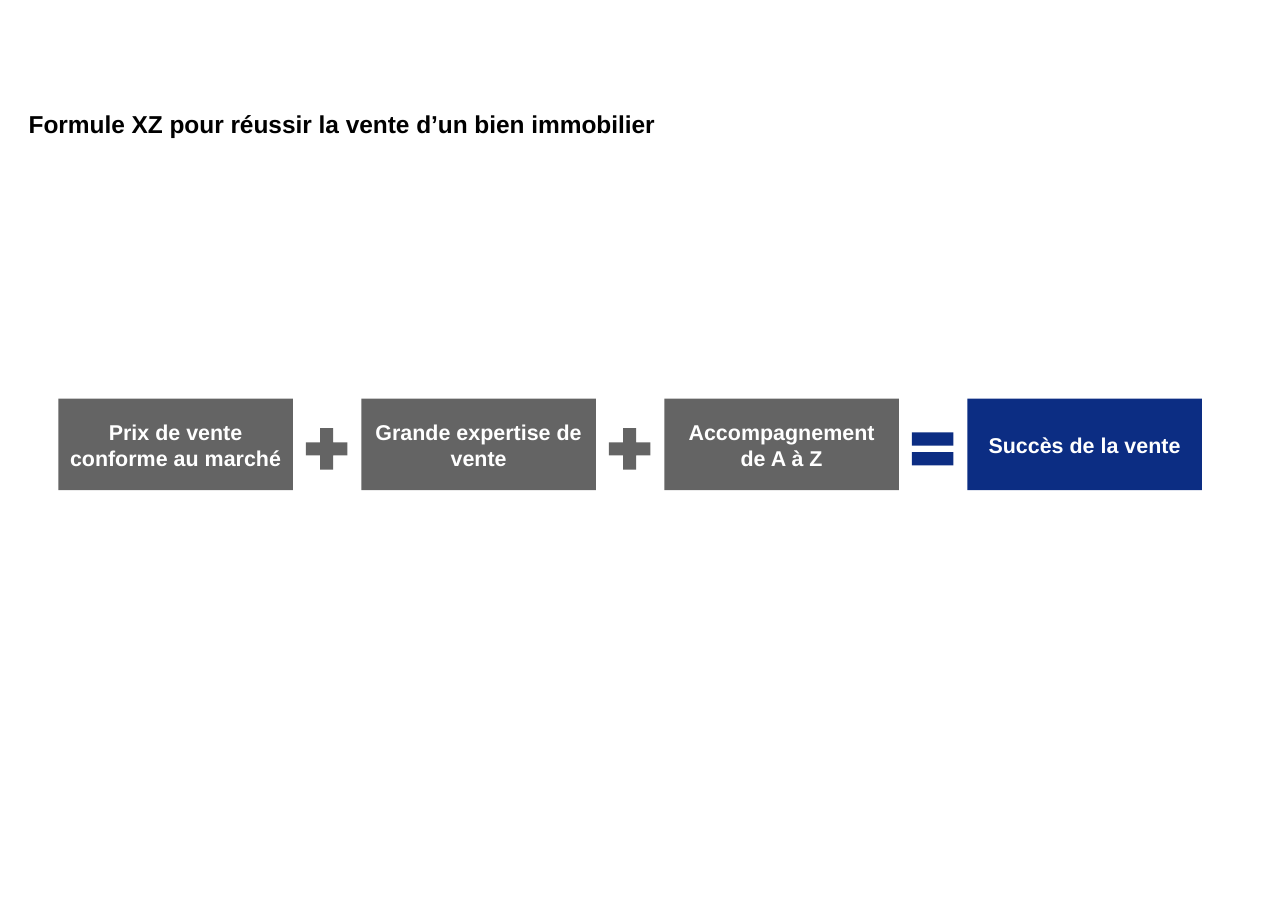
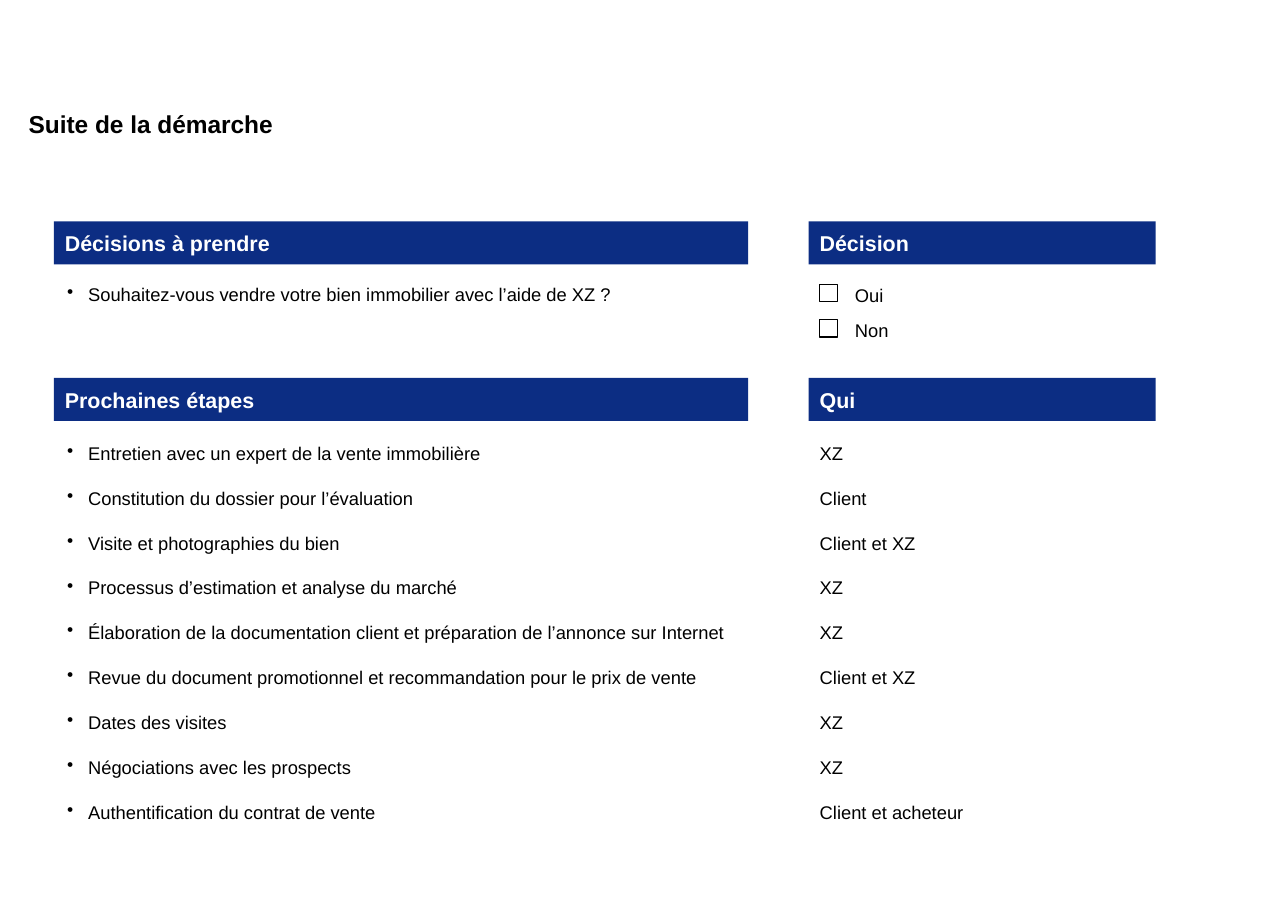
from lxml.etree import SubElement
from pptx import Presentation
from pptx.dml.color import RGBColor
from pptx.enum.shapes import MSO_SHAPE as SHAPE
from pptx.enum.text import MSO_ANCHOR as ANCHOR, MSO_AUTO_SIZE as AUTO_SIZE, PP_ALIGN as ALIGN
from pptx.oxml.ns import qn
from pptx.util import Inches, Pt

FONT = "Arial"
BLACK = RGBColor(0x00, 0x00, 0x00)
WHITE = RGBColor(0xFF, 0xFF, 0xFF)
GREY = RGBColor(0x64, 0x64, 0x64)
BLUE = RGBColor(0x0C, 0x2D, 0x83)

TITLE_SIZE, HEADING_SIZE, BODY_SIZE = 16, 14, 12

# Formula row: equal boxes with a sign in each gap
BOX_LEFT, BOX_TOP, BOX_W, BOX_H, BOX_STEP = 0.53, 3.62, 2.13, 0.83, 2.75
SIGN_SIZE, SIGN_GAP, SIGN_DROP = 0.51, 0.05, 0.2
FORMULA = [
    ("Prix de vente conforme au marché", GREY, SHAPE.MATH_PLUS),
    ("Grande expertise de vente", GREY, SHAPE.MATH_PLUS),
    ("Accompagnement de A à Z", GREY, SHAPE.MATH_EQUAL),
    ("Succès de la vente", BLUE, None),
]

# Two columns, (left, width), and two bands
COLUMNS = [(0.49, 6.3), (7.34, 3.15)]
BAND_H = 0.39
BANDS = [
    (2.01, ("Décisions à prendre", "Décision")),
    (3.43, ("Prochaines étapes", "Qui")),
]
TEXT_INSET, BULLET_INSET, BULLET_INDENT = 0.1, 0.12, 0.19
QUESTION_TOP, STEPS_TOP, STEPS_H = 2.45, 3.89, 3.67
ANSWER_TOP, ANSWER_STEP, CHECK_SIZE = 2.58, 0.32, 0.16
QUESTION = "Souhaitez-vous vendre votre bien immobilier avec l’aide de XZ ?"
STEPS = [
    ("Entretien avec un expert de la vente immobilière", "XZ"),
    ("Constitution du dossier pour l’évaluation", "Client"),
    ("Visite et photographies du bien", "Client et XZ"),
    ("Processus d’estimation et analyse du marché", "XZ"),
    ("Élaboration de la documentation client et préparation de l’annonce sur Internet", "XZ"),
    ("Revue du document promotionnel et recommandation pour le prix de vente", "Client et XZ"),
    ("Dates des visites", "XZ"),
    ("Négociations avec les prospects", "XZ"),
    ("Authentification du contrat de vente", "Client et acheteur"),
]


def format_paragraph(p, size, color, bold=False, align=ALIGN.LEFT):
    p.alignment = align
    for r in p.runs:
        r.font.name = FONT
        r.font.size = Pt(size)
        r.font.bold = bold
        r.font.color.rgb = color


def set_insets(tf, left=0, top=0, right=0, bottom=0):
    tf.margin_left, tf.margin_top = Inches(left), Inches(top)
    tf.margin_right, tf.margin_bottom = Inches(right), Inches(bottom)


def add_titled_slide(prs, title):
    s = prs.slides.add_slide(prs.slide_layouts[5])
    sp = s.shapes.title
    sp.left, sp.top = Inches(0.26), Inches(0.59)
    sp.width, sp.height = Inches(10.67), Inches(0.67)
    tf = sp.text_frame
    tf.text = title
    tf.auto_size = AUTO_SIZE.NONE
    tf.vertical_anchor = ANCHOR.BOTTOM
    set_insets(tf)
    format_paragraph(tf.paragraphs[0], TITLE_SIZE, BLACK, bold=True)
    return s


def add_block(s, kind, x, y, w, h, fill=None, line=None):
    sp = s.shapes.add_shape(kind, Inches(x), Inches(y), Inches(w), Inches(h))
    sp.shadow.inherit = False
    if fill is None:
        sp.fill.background()
    else:
        sp.fill.solid()
        sp.fill.fore_color.rgb = fill
    if line is None:
        sp.line.fill.background()
    else:
        sp.line.color.rgb = line
        sp.line.width = Pt(0.85)
    return sp


def add_label_box(s, text, x, y, w, h, fill, align):
    tf = add_block(s, SHAPE.RECTANGLE, x, y, w, h, fill).text_frame
    tf.text = text
    tf.word_wrap = True
    tf.vertical_anchor = ANCHOR.MIDDLE
    p = tf.paragraphs[0]
    p.line_spacing = 1.04
    format_paragraph(p, HEADING_SIZE, WHITE, bold=True, align=align)


def add_bullet(p):
    pPr = p._p.get_or_add_pPr()
    pPr.set("marL", str(Inches(BULLET_INDENT)))
    pPr.set("indent", str(-Inches(BULLET_INDENT)))
    SubElement(pPr, qn("a:buChar"), char="•")


def add_lines(s, lines, x, y, w, h, inset_top=0, bullets=False):
    """Add body text, one paragraph a line, at an even pitch."""
    tf = s.shapes.add_textbox(Inches(x), Inches(y), Inches(w), Inches(h)).text_frame
    tf.word_wrap = True
    set_insets(tf, top=inset_top)
    tf.text = "\n".join(lines)
    for p in tf.paragraphs:
        p.space_after = Pt(15)
        format_paragraph(p, BODY_SIZE, BLACK)
        if bullets:
            add_bullet(p)


def build_formula(prs):
    s = add_titled_slide(prs, "Formule XZ pour réussir la vente d’un bien immobilier")
    for i, (text, color, sign) in enumerate(FORMULA):
        x = BOX_LEFT + i * BOX_STEP
        add_label_box(s, text, x, BOX_TOP, BOX_W, BOX_H, color, ALIGN.CENTER)
        if sign is not None:
            sign_color = BLUE if sign == SHAPE.MATH_EQUAL else GREY
            add_block(s, sign, x + BOX_W + SIGN_GAP, BOX_TOP + SIGN_DROP,
                      SIGN_SIZE, SIGN_SIZE, sign_color)


def build_next_steps(prs):
    s = add_titled_slide(prs, "Suite de la démarche")
    for y, headings in BANDS:
        for (x, w), heading in zip(COLUMNS, headings):
            add_label_box(s, heading, x, y, w, BAND_H, BLUE, ALIGN.LEFT)

    (left, left_w), (right, right_w) = COLUMNS
    left += BULLET_INSET
    right += TEXT_INSET
    add_lines(s, [QUESTION], left, QUESTION_TOP, left_w - BULLET_INSET, 0.44, 0.12, bullets=True)
    for i, answer in enumerate(("Oui", "Non")):
        y = ANSWER_TOP + i * ANSWER_STEP
        add_block(s, SHAPE.FLOWCHART_PROCESS, right, y, CHECK_SIZE, CHECK_SIZE, line=BLACK)
        add_lines(s, [answer], right + 2 * CHECK_SIZE, y, 0.43, 0.2)

    steps, owners = zip(*STEPS)
    add_lines(s, steps, left, STEPS_TOP, left_w - BULLET_INSET, STEPS_H, 0.12, bullets=True)
    add_lines(s, owners, right, STEPS_TOP, right_w - TEXT_INSET, STEPS_H, 0.12)


def main():
    prs = Presentation()
    prs.slide_width, prs.slide_height = Inches(11.69), Inches(8.27)
    build_formula(prs)
    build_next_steps(prs)
    prs.save("out.pptx")


if __name__ == "__main__":
    main()
